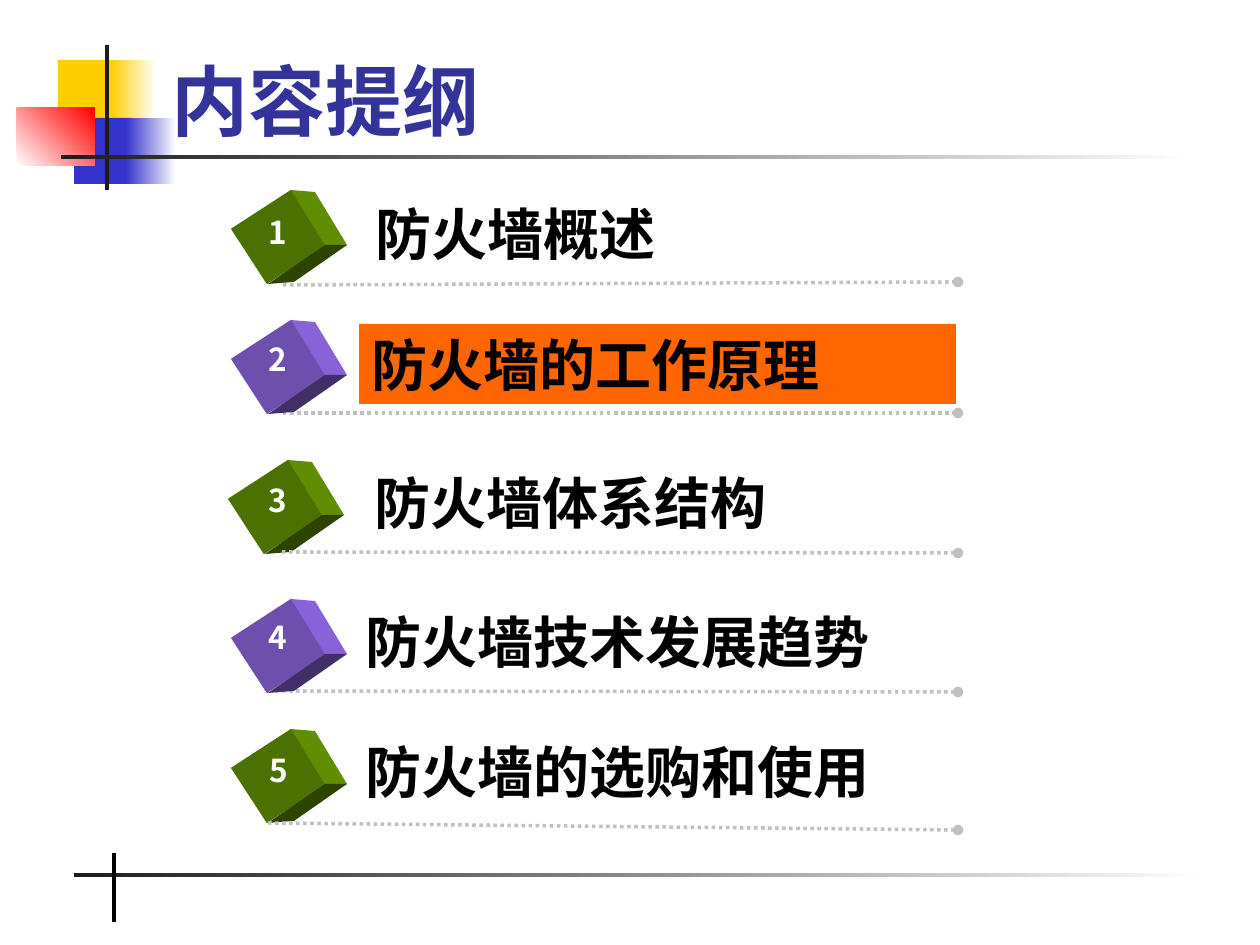
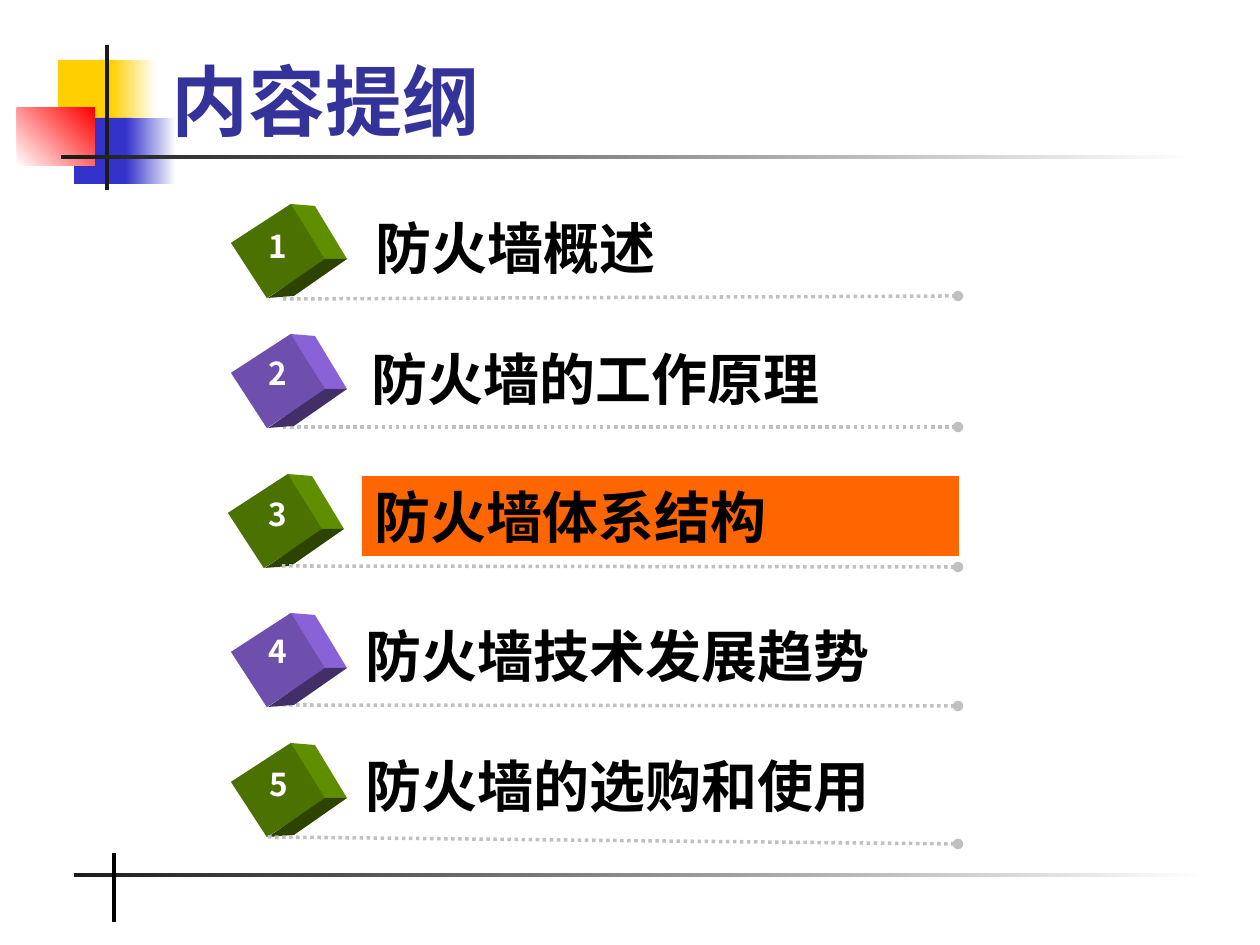
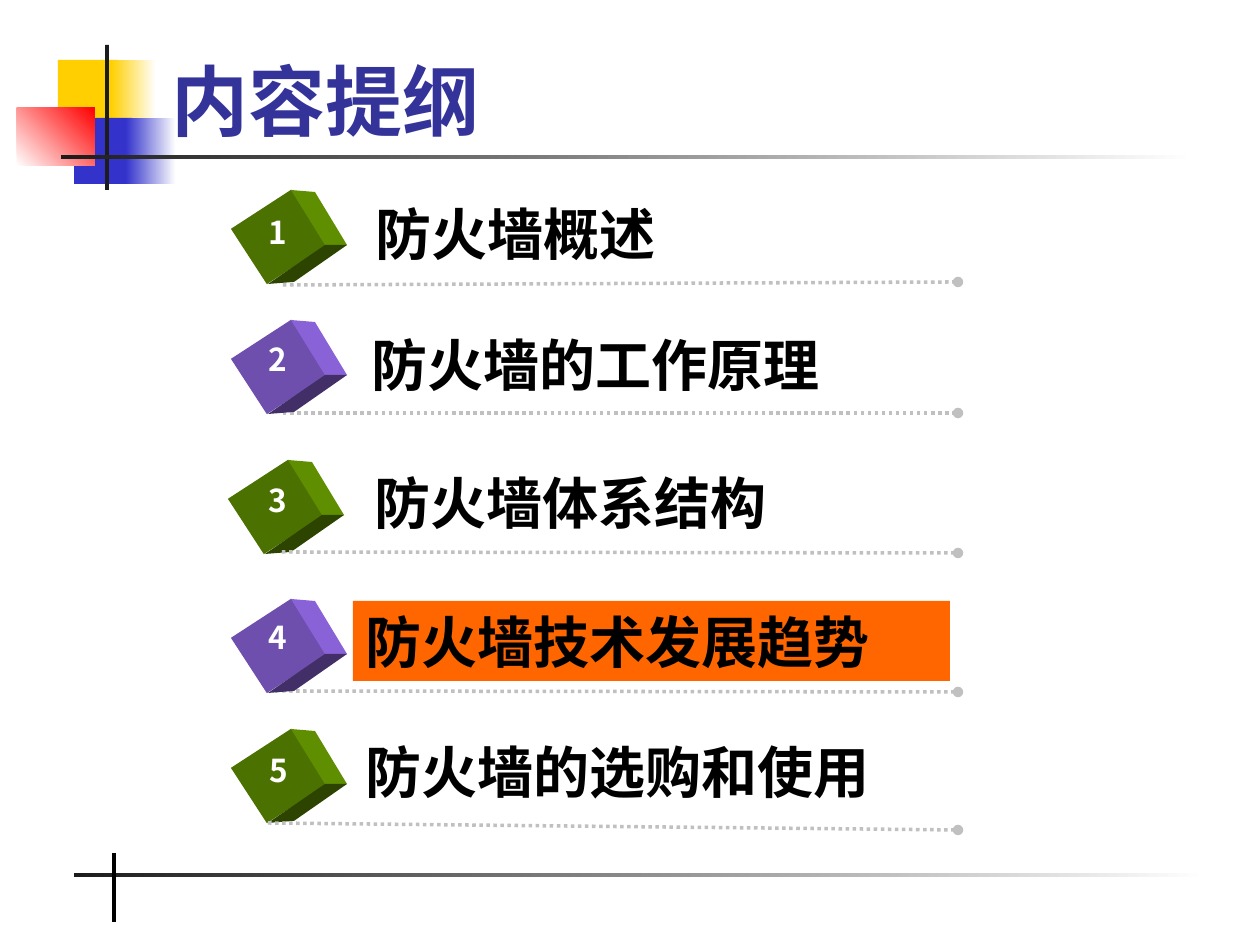
import dataclasses

import lxml.etree
import pptx
import pptx.dml.color
import pptx.enum.dml
import pptx.enum.shapes
import pptx.enum.text
import pptx.oxml
import pptx.oxml.ns
import pptx.util

RGB = pptx.dml.color.RGBColor.from_string
RECTANGLE = pptx.enum.shapes.MSO_SHAPE.RECTANGLE
STRAIGHT = pptx.enum.shapes.MSO_CONNECTOR.STRAIGHT
ALIGN = pptx.enum.text.PP_ALIGN
ANCHOR = pptx.enum.text.MSO_ANCHOR
qn = pptx.oxml.ns.qn
PX = 914400 / 126


@dataclasses.dataclass(frozen=True)
class Theme:
    white: str = "FFFFFF"
    black: str = "000000"
    yellow: str = "FFCF01"
    blue: str = "3333CC"
    red: str = "FF0000"
    ink: str = "1C1C1C"
    title: str = "333399"
    dots: str = "C0C0C0"
    highlight: str = "FF6600"
    green: tuple = ("4B7100", "5F8F00", "2D4400")
    purple: tuple = ("6E4FAD", "8A62D8", "422F68")
    title_size: int = 44
    topic_size: int = 32
    number_size: int = 18
    title_font: str = "Times New Roman"
    font: str = "Noto Sans CJK SC"


theme = Theme()


def emu(*lengths):
    return [round(length * PX) for length in lengths]


def write(holder, text, font, size, color, align, **frame_format):
    frame = holder.text_frame
    frame.text = text
    frame_format = {"auto_size": pptx.enum.text.MSO_AUTO_SIZE.NONE, **frame_format}
    for name, value in frame_format.items():
        setattr(frame, name, value)
    paragraph = frame.paragraphs[0]
    paragraph.alignment = align
    run = paragraph.runs[0]
    for name, value in {"name": font, "size": pptx.util.Pt(size), "bold": True}.items():
        setattr(run.font, name, value)
    run.font.color.rgb = RGB(color)
    east_asian = lxml.etree.Element(qn("a:ea"), typeface=theme.font)
    run.font._element.find(qn("a:latin")).addnext(east_asian)


deck = pptx.Presentation()
deck.slide_width, deck.slide_height = emu(1260, 945)
slides = [deck.slides.add_slide(deck.slide_layouts[5]) for _ in range(3)]

bands = [
    ((58, 60, 60, 66), (theme.yellow,), 0),
    ((111, 60, 45, 66), (theme.yellow, theme.white), 0),
    ((74, 118, 58, 66), (theme.blue,), 0),
    ((126, 118, 50, 66), (theme.blue, theme.white), 0),
    ((17, 108, 78, 58), (theme.white, theme.red), 45),
    ((105, 45, 4, 145), (theme.ink,), 0),
    ((61, 155, 1134, 4), (theme.ink, theme.white), 0),
    ((74, 873, 1134, 4), (theme.ink, theme.white), 0),
]
decorations = []
for box, colors, angle in bands:
    band = slides[0].shapes.add_shape(RECTANGLE, *emu(*box))
    band.shadow.inherit = False
    band.line.fill.background()
    if len(colors) == 1:
        band.fill.solid()
        band.fill.fore_color.rgb = RGB(colors[0])
    else:
        band.fill.gradient()
        band.fill.gradient_angle = angle
        for stop, color, position in zip(band.fill.gradient_stops, colors, (0, 1)):
            stop.color.rgb = RGB(color)
            stop.position = position
    decorations.append(band)

footer_bar = slides[0].shapes.add_connector(STRAIGHT, *emu(114, 853, 114, 922))
footer_bar.line.color.rgb = RGB(theme.black)
footer_bar.line.width = pptx.util.Pt(2.25)
lxml.etree.SubElement(footer_bar._element.spPr, qn("a:effectLst"))
decorations.append(footer_bar)

for number, decoration in enumerate(decorations, 101):
    decoration._element._nvXxPr.cNvPr.set("id", str(number))
    deck.slide_master.shapes._spTree.append(decoration._element)

topics = [
    ("防火墙概述", theme.green, (246, 201), (257, 207), (363, 193), (283, 285, 958, 282)),
    ("防火墙的工作原理", theme.purple, (246, 331), (257, 334), (359, 324), (283, 413, 958, 413)),
    ("防火墙体系结构", theme.green, (243, 471), (257, 475), (362, 462), (282, 552, 958, 553)),
    ("防火墙技术发展趋势", theme.purple, (246, 610), (257, 612), (353, 601), (275, 691, 958, 692)),
    ("防火墙的选购和使用", theme.green, (246, 740), (258, 745), (353, 731), (268, 823, 958, 830)),
]
side_face = [(12, -47), (36, -45), (68, 8), (46, 8)]
bottom_face = [(46, 8), (68, 8), (15, 45), (-11, 47)]
compact = {"vertical_anchor": ANCHOR.MIDDLE, "margin_top": 0, "margin_bottom": 0}

for slide, current, drop in zip(slides, (2, 3, 4), (0, 14, 0)):
    shapes = slide.shapes
    heading = shapes.title
    heading.left, heading.top, heading.width, heading.height = emu(159, 20, 1074, 132)
    write(heading, "内容提纲", theme.title_font, theme.title_size, theme.title,
          ALIGN.LEFT, vertical_anchor=ANCHOR.BOTTOM, word_wrap=True)

    for number, (topic, tones, cube, badge, label, rule) in enumerate(topics, 1):
        front = shapes.add_shape(RECTANGLE, *emu(cube[0], cube[1] + drop, 66, 72))
        front.rotation = 57
        faces = [front]
        for outline in (side_face, bottom_face):
            corners = [(cube[0] + 33 + x, cube[1] + 36 + drop + y) for x, y in outline]
            builder = shapes.build_freeform(*corners[0], scale=PX)
            builder.add_line_segments(corners[1:], close=True)
            faces.append(builder.convert_to_shape())
        for face, tone in zip(faces, tones):
            face.shadow.inherit = False
            face.line.fill.background()
            face.fill.solid()
            face.fill.fore_color.rgb = RGB(tone)

        x1, y1, x2, y2 = rule
        underline = shapes.add_connector(STRAIGHT, *emu(x1, y1 + drop, x2, y2 + drop))
        underline.line.color.rgb = RGB(theme.dots)
        underline.line.width = pptx.util.Pt(2)
        underline.line.dash_style = pptx.enum.dml.MSO_LINE.ROUND_DOT
        lxml.etree.SubElement(underline.line._get_or_add_ln(), qn("a:tailEnd"), type="oval")
        lxml.etree.SubElement(underline._element.spPr, qn("a:effectLst"))
        if tones == theme.purple:
            shapes._spTree.insert(2, underline._element)

        number_box = shapes.add_textbox(*emu(badge[0], badge[1] + drop, 42, 50))
        write(number_box, str(number), theme.font, theme.number_size, theme.white,
              ALIGN.CENTER, word_wrap=False, **compact)

        topic_box = shapes.add_textbox(*emu(label[0], label[1] + drop, 597, 80))
        write(topic_box, topic, theme.font, theme.topic_size, theme.black,
              ALIGN.LEFT, word_wrap=True, **compact)
        if number == current:
            topic_box.fill.solid()
            topic_box.fill.fore_color.rgb = RGB(theme.highlight)

deck.save("out.pptx")
